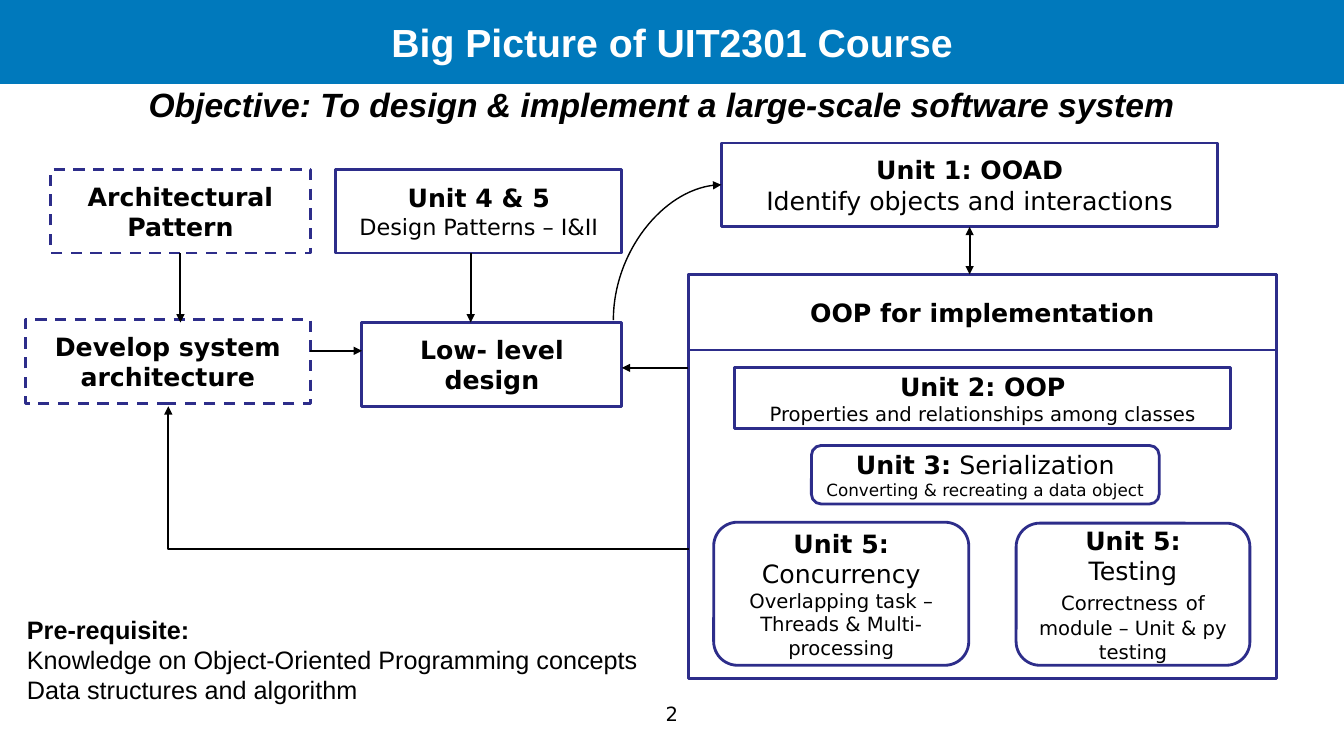
from lxml.etree import SubElement
from pptx import Presentation
from pptx.dml.color import RGBColor
from pptx.enum.dml import MSO_LINE
from pptx.enum.shapes import MSO_CONNECTOR, MSO_SHAPE
from pptx.enum.text import MSO_ANCHOR, PP_ALIGN
from pptx.oxml.ns import qn
from pptx.util import Pt

BLUE = RGBColor(0x00, 0x79, 0xBC)
NAVY = RGBColor(0x2D, 0x2D, 0x8A)
BLACK = RGBColor(0, 0, 0)
WHITE = RGBColor(255, 255, 255)
BODY, HEAD = "DejaVu Sans", "Arial"
BOX_H = 59.8


def write(tf, lines, font=BODY, align=PP_ALIGN.CENTER):
    """Fill tf with lines; each line is a list of (text, size, bold) runs."""
    tf.word_wrap = True
    for i, runs in enumerate(lines):
        p = tf.paragraphs[0] if i == 0 else tf.add_paragraph()
        p.alignment = align
        p.font.name = font
        p.font.color.rgb = BLACK
        if len(runs) == 1:
            p.font.size, p.font.bold = Pt(runs[0][1]), runs[0][2]
        for text, size, bold in runs:
            r = p.add_run()
            r.text = text
            if len(runs) > 1:
                r.font.size, r.font.bold = Pt(size), bold


def add_box(slide, box, lines=(), rounded=False, dashed=False):
    kind = MSO_SHAPE.ROUNDED_RECTANGLE if rounded else MSO_SHAPE.RECTANGLE
    sp = slide.shapes.add_shape(kind, *map(Pt, box))
    sp.shadow.inherit = False
    sp.fill.solid()
    sp.fill.fore_color.rgb = WHITE
    sp.line.color.rgb = NAVY
    sp.line.width = Pt(2)
    if dashed:
        sp.line.dash_style = MSO_LINE.DASH
    sp.text_frame.vertical_anchor = MSO_ANCHOR.MIDDLE
    write(sp.text_frame, lines)


def add_text(slide, box, lines, **style):
    tb = slide.shapes.add_textbox(*map(Pt, box))
    write(tb.text_frame, lines, **style)
    return tb.text_frame


def add_arrow(slide, start, end, kind=MSO_CONNECTOR.STRAIGHT, width=1.5, both=False):
    cxn = slide.shapes.add_connector(kind, *map(Pt, start + end))
    cxn.line.color.rgb = BLACK
    cxn.line.width = Pt(width)
    ln = cxn.line._get_or_add_ln()
    for tag in ("a:headEnd", "a:tailEnd") if both else ("a:tailEnd",):
        SubElement(ln, qn(tag), type="triangle")
    SubElement(cxn._element.spPr, qn("a:effectLst"))
    return cxn


def add_corner_arrow(slide, start, end, kind, preset, degrees, width):
    """Add an arrow with a single corner, turned by degrees about its centre."""
    cxn = add_arrow(slide, start, end, kind, width)
    sp_pr = cxn._element.spPr
    sp_pr.find(qn("a:prstGeom")).set("prst", preset)
    sp_pr.find(qn("a:xfrm")).set("rot", str(degrees * 60000))


def add_header(slide, x, y, w):
    title = slide.shapes.title
    title.left, title.top, title.width, title.height = map(Pt, (x, y, w, 60))
    title.fill.solid()
    title.fill.fore_color.rgb = BLUE
    tf = title.text_frame
    tf.vertical_anchor = MSO_ANCHOR.MIDDLE
    write(tf, [[("Big Picture of UIT2301 Course", 28, True)]], font=HEAD)
    tf.paragraphs[0].font.color.rgb = WHITE
    objective = "Objective: To design & implement a large-scale software system"
    tf = add_text(slide, (x + 51, y + 56.2, w - 117, 36), [[(objective, 24, True)]], font=HEAD)
    tf.paragraphs[0].font.italic = True


def add_design_flow(slide, x, y):
    add_box(slide, (x, y + 107.2, 203.8, BOX_H),
            [[("Develop system architecture", 18, True)]], dashed=True)
    add_box(slide, (x + 221.8, y, 204.4, BOX_H),
            [[("Unit 4 & 5", 18, True)], [("Design Patterns – I&II", 16, False)]])
    add_box(slide, (x + 240.5, y + 109.4, 185.7, BOX_H), [[("Low- level design", 18, True)]])
    add_box(slide, (x + 18, y, 185.8, BOX_H),
            [[("Architectural Pattern", 18, True)]], dashed=True)
    for centre in (110.9, 318.2):
        add_arrow(slide, (x + centre, y + BOX_H), (x + centre, y + 109.4))
    add_arrow(slide, (x + 203.8, y + 129.6), (x + 240.5, y + 129.6))


def add_implementation(slide, x, y, w, h):
    add_box(slide, (x, y, w, h))
    add_box(slide, (x + 33.1, y + 66.8, 354.2, 43.2),
            [[("Unit 2: OOP", 18, True)],
             [("Properties and relationships among classes", 14, False)]])
    add_box(slide, (x + 87.8, y + 122.2, 248.4, 41.8),
            [[("Unit 3:", 18, True), (" Serialization", 18, False)],
             [("Converting & recreating a data object", 12, False)]], rounded=True)
    add_box(slide, (x + 18, y + 177, 182.2, 102.2),
            [[("Unit 5:", 18, True), (" Concurrency", 18, False)],
             [("Overlapping task – Threads & Multi-processing", 14, False)]], rounded=True)
    add_box(slide, (x + 234, y + 177.7, 167, 101.5),
            [[("Unit 5:", 18, True)], [("Testing", 18, False)],
             [("Correctness", 14, False), (" ", 18, False),
              ("of module – Unit & py testing", 14, False)]], rounded=True)
    add_box(slide, (x, y, w, 54), [[("OOP for implementation", 18, True)]])


def add_analysis(slide, x, y):
    add_box(slide, (x, y, 354.2, BOX_H),
            [[("Unit 1: OOAD", 18, True)],
             [("Identify objects and interactions", 18, False)]])
    add_arrow(slide, (x + 177.1, y + BOX_H), (x + 177.1, y + 93.8), both=True)


def add_feedback_arrows(slide):
    """Link the implementation panel, the design boxes and Unit 1."""
    add_arrow(slide, (491.8, 262.8), (444.2, 262.8))
    add_corner_arrow(slide, (120.2, 290.2), (491.8, 392.4),
                     MSO_CONNECTOR.ELBOW, "bentConnector2", 180, 1.5)
    add_corner_arrow(slide, (525, 218.9), (428.4, 141.8),
                     MSO_CONNECTOR.CURVE, "curvedConnector2", 90, 1)


def add_footer(slide, x, y, w):
    add_text(slide, (x + 12.2, y, 455.8, 72.7),
             [[("Pre-requisite:", 18, True)],
              [("Knowledge on Object-Oriented Programming concepts", 18, False)],
              [("Data structures and algorithm", 18, False)]],
             font=HEAD, align=PP_ALIGN.LEFT)
    add_text(slide, (x, y + 62.6, w, 37.4), [[("2", 14, False)]])


def main():
    prs = Presentation()
    prs.slide_width, prs.slide_height = Pt(960), Pt(540)
    slide = prs.slides.add_slide(prs.slide_layouts[5])
    add_header(slide, 0, 0, 960)
    add_design_flow(slide, 18, 121)
    add_implementation(slide, 491.8, 196, 419.8, 288.5)
    add_analysis(slide, 515.5, 102.2)
    add_feedback_arrows(slide)
    add_footer(slide, 0, 434.9, 960)
    prs.save("out.pptx")


if __name__ == "__main__":
    main()
